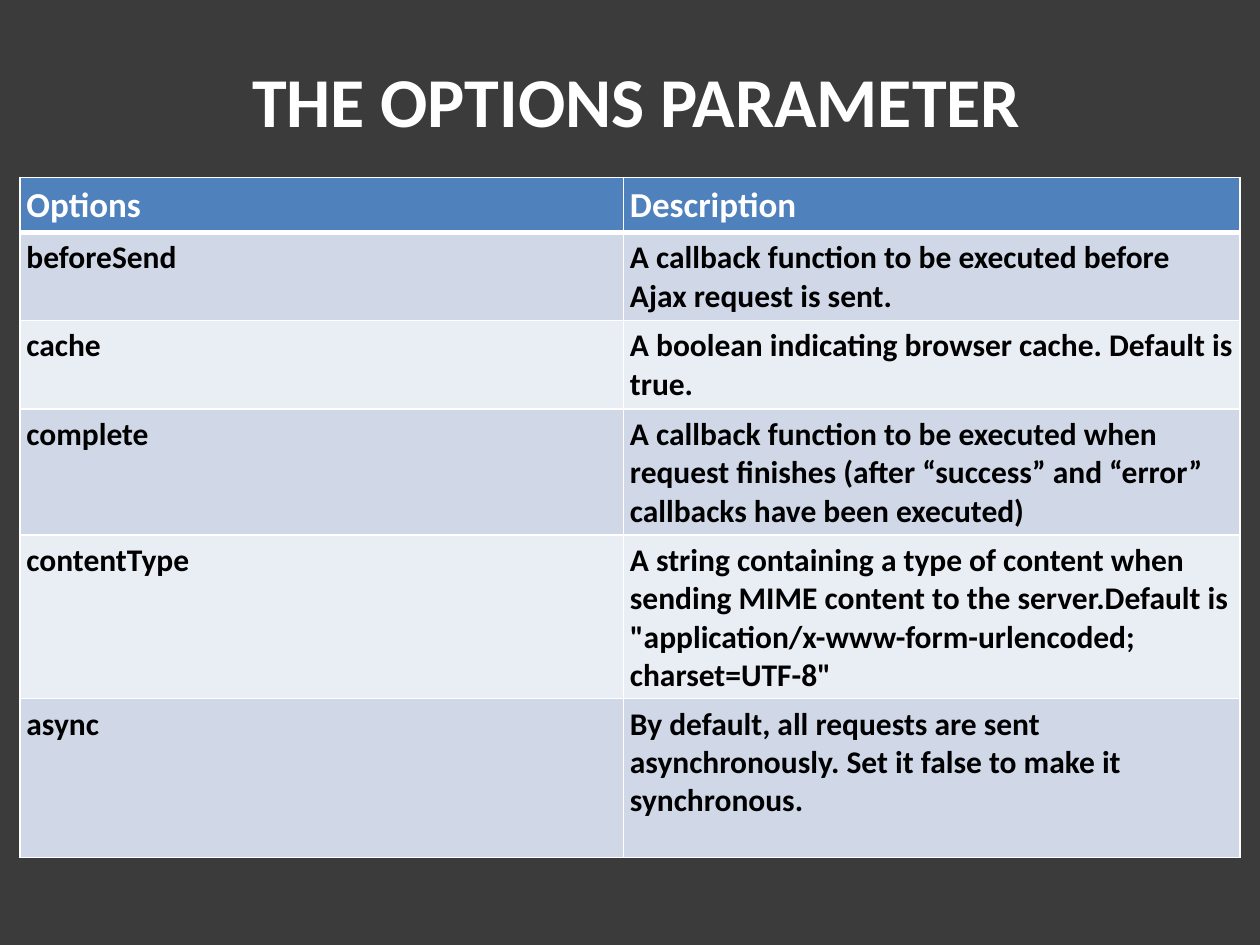
from dataclasses import dataclass

from lxml.etree import SubElement
from pptx import Presentation
from pptx.dml.color import RGBColor
from pptx.enum.text import MSO_ANCHOR, PP_ALIGN
from pptx.oxml.ns import qn
from pptx.util import Emu, Inches, Pt

BACKDROP = RGBColor(0x3B, 0x3B, 0x3B)
WHITE = RGBColor(0xFF, 0xFF, 0xFF)
BLACK = RGBColor(0x00, 0x00, 0x00)
HEADER_BLUE = RGBColor(0x4F, 0x81, 0xBD)
BANDS = (RGBColor(0xD0, 0xD8, 0xE8), RGBColor(0xE9, 0xED, 0xF4))

SLIDE_WIDTH, SLIDE_HEIGHT = Inches(10), Inches(7.5)
COLUMN_WIDTHS = (4.79, 4.89)
CELL_INSET = Inches(0.05)


@dataclass
class Option:
    name: str
    description: str
    height: float


@dataclass
class CellLook:
    fill: RGBColor
    ink: RGBColor
    size: int
    anchor: MSO_ANCHOR
    top_line: float = 1
    bottom_line: float = 1


HEADER = Option("Options", "Description", 0.42)
OPTIONS = [
    Option("beforeSend", "A callback function to be executed before Ajax request is sent.", 0.68),
    Option("cache", "A boolean indicating browser cache. Default is true.", 0.68),
    Option("complete", "A callback function to be executed when request finishes "
           "(after “success” and “error” callbacks have been executed)", 0.68),
    Option("contentType", "A string containing a type of content when sending MIME content "
           'to the server.Default is "application/x-www-form-urlencoded; charset=UTF-8"', 1.26),
    Option("async", "By default, all requests are sent asynchronously. "
           "Set it false to make it synchronous.", 1.26),
]


def share(left: float, top: float, width: float, height: float) -> tuple[Emu, ...]:
    """Turn shares of the slide's size into lengths."""
    return (Emu(int(left * SLIDE_WIDTH)), Emu(int(top * SLIDE_HEIGHT)),
            Emu(int(width * SLIDE_WIDTH)), Emu(int(height * SLIDE_HEIGHT)))


def write(paragraph, wording: str, size: int, ink: RGBColor) -> None:
    run = paragraph.add_run()
    run.text = wording
    for attribute, value in {"name": "Calibri", "size": Pt(size), "bold": True}.items():
        setattr(run.font, attribute, value)
    run.font.color.rgb = ink


def draw_borders(cell, look: CellLook) -> None:
    properties = cell._tc.get_or_add_tcPr()
    sides = {"L": 1, "R": 1, "T": look.top_line, "B": look.bottom_line}
    for side, points in sides.items():
        line = SubElement(properties, qn(f"a:ln{side}"), w=str(Pt(points)))
        SubElement(SubElement(line, qn("a:solidFill")), qn("a:srgbClr"), val=str(WHITE))


def draw_cell(cell, wording: str, look: CellLook) -> None:
    draw_borders(cell, look)
    cell.fill.solid()
    cell.fill.fore_color.rgb = look.fill
    layout = {"vertical_anchor": look.anchor, "margin_left": CELL_INSET,
              "margin_right": CELL_INSET, "margin_top": CELL_INSET,
              "margin_bottom": CELL_INSET}
    for attribute, value in layout.items():
        setattr(cell, attribute, value)
    write(cell.text_frame.paragraphs[0], wording, look.size, look.ink)


def draw_title(slide, wording: str) -> None:
    frame = slide.shapes.add_textbox(*share(0.04, 0.05, 0.93, 0.11)).text_frame
    frame.word_wrap = True
    frame.vertical_anchor = MSO_ANCHOR.MIDDLE
    heading = frame.paragraphs[0]
    heading.alignment = PP_ALIGN.CENTER
    write(heading, wording, 40, WHITE)


def draw_options(slide) -> None:
    entries = [HEADER, *OPTIONS]
    table = slide.shapes.add_table(
        len(entries), len(COLUMN_WIDTHS), Inches(0.16), Inches(1.41),
        Inches(sum(COLUMN_WIDTHS)), Inches(5.41)).table
    for column, width in zip(table.columns, COLUMN_WIDTHS):
        column.width = Inches(width)
    for index, (row, entry) in enumerate(zip(table.rows, entries)):
        row.height = Inches(entry.height)
        if index == 0:
            look = CellLook(HEADER_BLUE, WHITE, 20, MSO_ANCHOR.BOTTOM, bottom_line=3)
        else:
            look = CellLook(BANDS[(index - 1) % 2], BLACK, 18, MSO_ANCHOR.TOP,
                            top_line=3 if index == 1 else 1)
        for cell, wording in zip(row.cells, (entry.name, entry.description)):
            draw_cell(cell, wording, look)


def main() -> None:
    deck = Presentation()
    deck.slide_width, deck.slide_height = SLIDE_WIDTH, SLIDE_HEIGHT
    slide = deck.slides.add_slide(deck.slide_layouts[6])

    # Dark backdrop
    slide.background.fill.solid()
    slide.background.fill.fore_color.rgb = BACKDROP

    # Title above the table of options
    draw_title(slide, "THE OPTIONS PARAMETER")
    draw_options(slide)
    deck.save("out.pptx")


if __name__ == "__main__":
    main()
